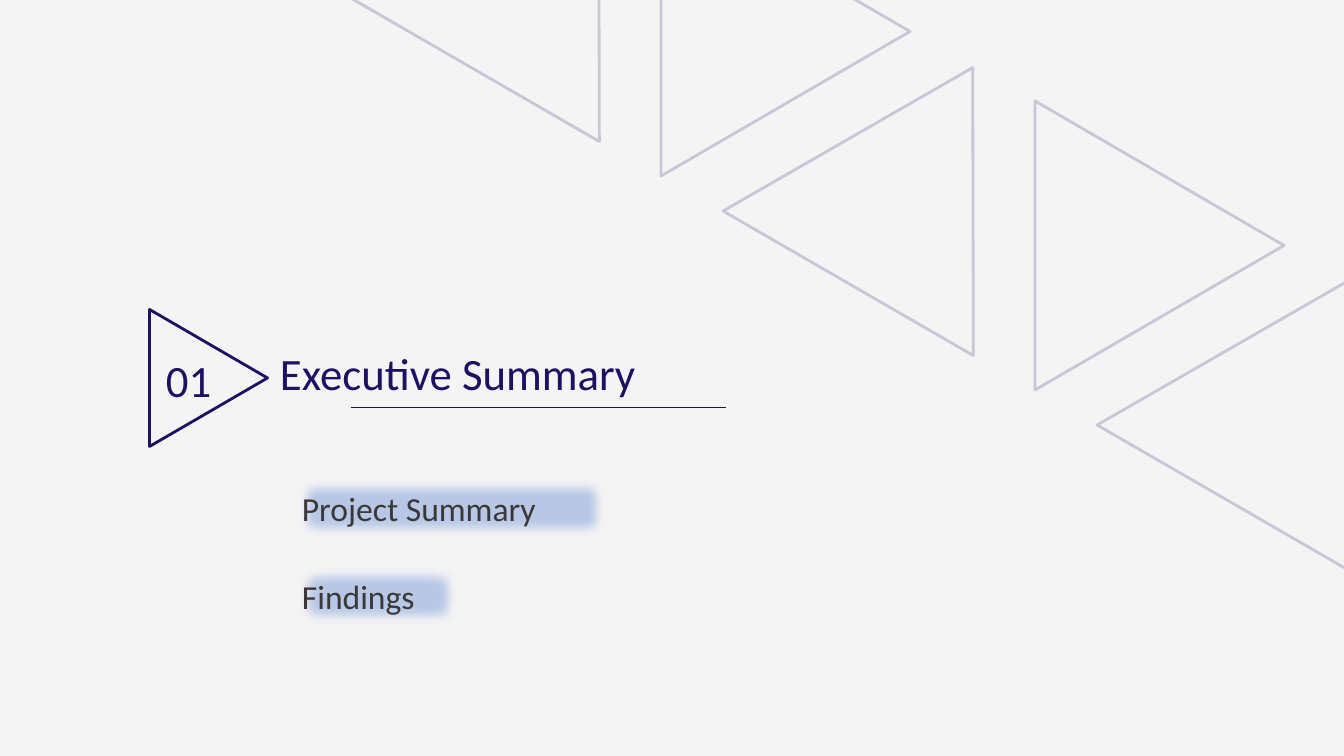
from lxml.etree import SubElement
from pptx import Presentation
from pptx.dml.color import RGBColor
from pptx.enum.shapes import MSO_CONNECTOR as CONN, MSO_SHAPE as SHAPE
from pptx.enum.text import MSO_ANCHOR as ANCHOR, MSO_AUTO_SIZE as AUTO, PP_ALIGN as ALIGN
from pptx.oxml.ns import qn
from pptx.util import Pt

# Content
NUMBER = "01"
TITLE = "Executive Summary"
TOPICS = [("Project Summary", 319), ("Findings", 172)]  # text, width

# Look
FONT = "Calibri"
PAPER, NAVY, GREY = "F4F4F4", "1C1163", "3B3838"
GLOW, EDGE = "8FAADC", "325491"

# Geometry in px
SLIDE_W, SLIDE_H = 1344, 756
SCALE = 12192000 / SLIDE_W
TRI_W, TRI_H = 289, 249
STEP_X, STEP_Y = 374, 214
# rotation, left and top of the first triangle, count
TRI_ROWS = [(90, 641, -93, 2), (30, 392, -163, 3)]
TOPIC_X, TOPIC_Y, TOPIC_H, TOPIC_STEP = 292, 473, 70, 88
SOFT_RADIUS = 13


def px(n):
    return round(n * SCALE)


def rgb(color):
    return RGBColor.from_string(color)


def set_alpha(fill, percent):
    """Make a solid fill see-through."""
    color = fill._xPr.find(qn("a:solidFill"))[0]
    SubElement(color, qn("a:alpha")).set("val", str(percent * 1000))


def add_box(parent, kind, x, y, w, h, fill, line, width, rotation=0):
    s = parent.add_shape(kind, px(x), px(y), px(w), px(h))
    s.shadow.inherit = False
    s.rotation = rotation
    s.fill.solid()
    s.fill.fore_color.rgb = rgb(fill)
    s.line.color.rgb = rgb(line)
    s.line.width = Pt(width)
    return s


def write(s, text, size, color):
    tf = s.text_frame
    tf.word_wrap = True
    p = tf.paragraphs[0]
    p.alignment = ALIGN.LEFT
    r = p.add_run()
    r.text = text
    r.font.name = FONT
    r.font.size = Pt(size)
    r.font.color.rgb = rgb(color)
    return tf


def add_heading(shapes, text, x, y, w, h):
    tf = write(shapes.add_textbox(px(x), px(y), px(w), px(h)), text, 32, NAVY)
    tf.auto_size = AUTO.SHAPE_TO_FIT_TEXT
    return tf


def main():
    prs = Presentation()
    prs.slide_width, prs.slide_height = px(SLIDE_W), px(SLIDE_H)
    slide = prs.slides.add_slide(prs.slide_layouts[6])
    slide.background.fill.solid()
    slide.background.fill.fore_color.rgb = rgb(PAPER)
    shapes = slide.shapes

    # Section number
    add_box(shapes, SHAPE.ISOSCELES_TRIANGLE, 140, 319, 137, 118, PAPER, NAVY, 2, 90)
    add_heading(shapes, NUMBER, 156, 348, 90, 65)

    # Triangle pattern
    pattern = shapes.add_group_shape()
    for rotation, x, y, count in TRI_ROWS:
        for i in range(count):
            s = add_box(pattern.shapes, SHAPE.ISOSCELES_TRIANGLE, x + i * STEP_X,
                        y + i * STEP_Y, TRI_W, TRI_H, PAPER, NAVY, 2, rotation)
            set_alpha(s.line.fill, 20)

    # Underlined title
    rule = shapes.add_connector(CONN.STRAIGHT, px(351), px(407), px(726), px(407))
    rule.line.color.rgb = rgb(NAVY)
    rule.line.width = Pt(0.5)
    SubElement(rule._element.spPr, qn("a:effectLst"))
    add_heading(shapes, TITLE, 260, 341, 589, 65).margin_left = px(20)

    # Topics on soft-edged boxes
    for i, (topic, width) in enumerate(TOPICS):
        s = add_box(shapes, SHAPE.RECTANGLE, TOPIC_X, TOPIC_Y + i * TOPIC_STEP,
                    width, TOPIC_H, GLOW, EDGE, 1)
        set_alpha(s.fill, 59)
        effects = s._element.spPr.find(qn("a:effectLst"))
        SubElement(effects, qn("a:softEdge")).set("rad", str(px(SOFT_RADIUS)))
        write(s, topic, 24, GREY).vertical_anchor = ANCHOR.MIDDLE

    prs.save("out.pptx")


if __name__ == "__main__":
    main()
